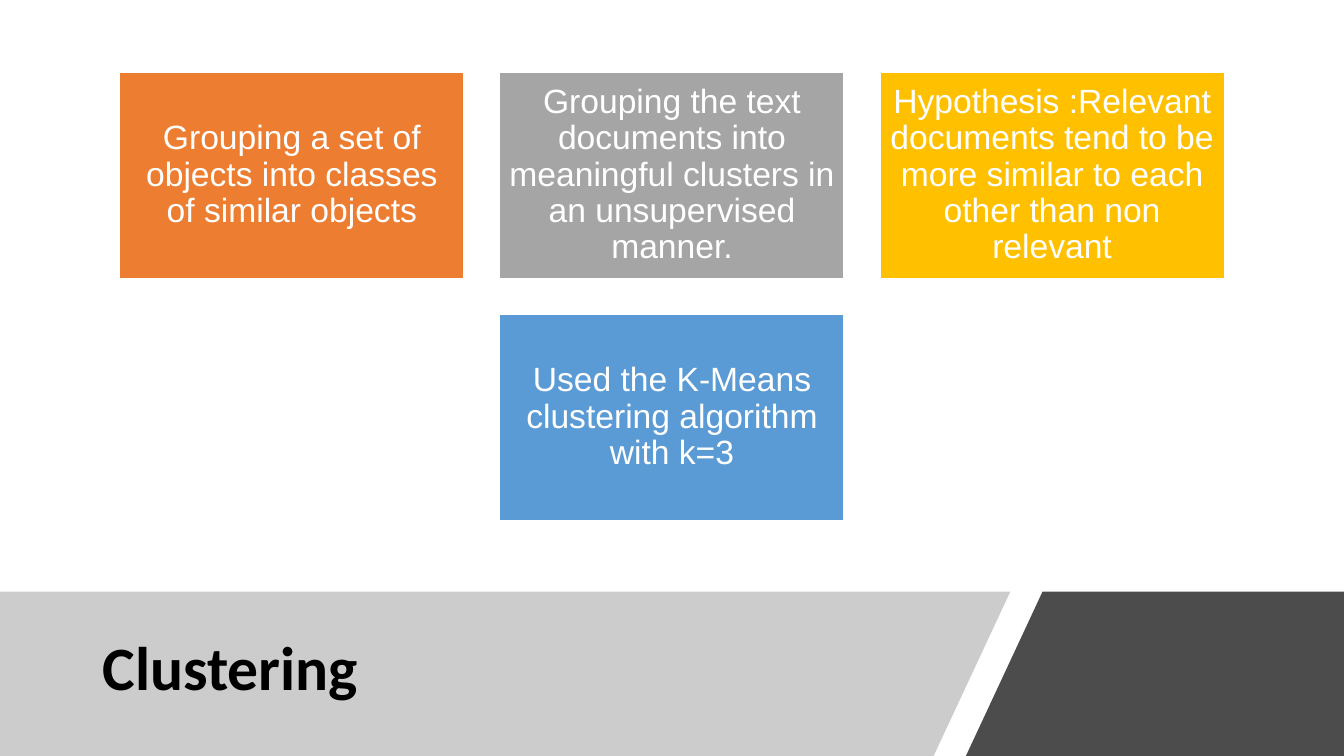
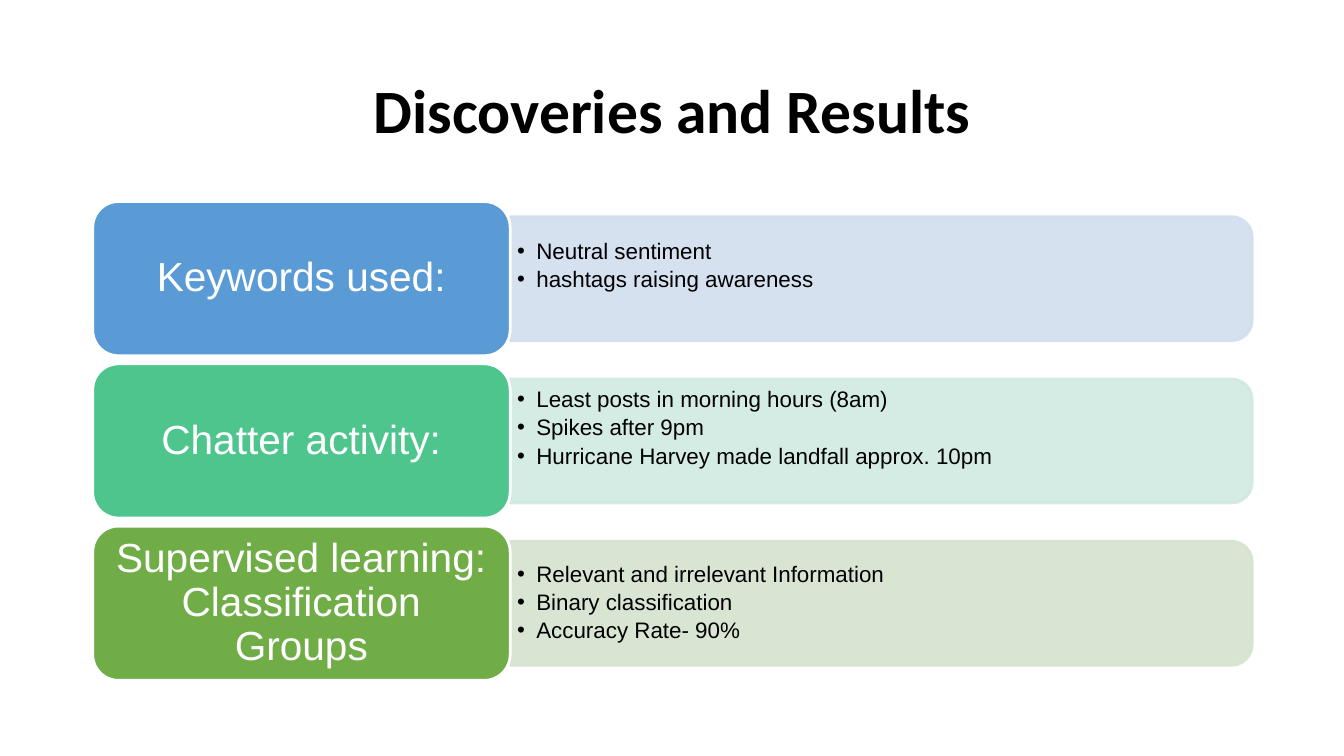
"""Build two slides: clustering tiles, and discoveries with their details."""
from dataclasses import dataclass
from typing import Any, Optional

from lxml.etree import SubElement
from pptx import Presentation
from pptx.dml.color import RGBColor
from pptx.enum.shapes import MSO_SHAPE
from pptx.enum.text import MSO_ANCHOR, PP_ALIGN
from pptx.oxml.ns import qn
from pptx.util import Inches, Pt

SLIDE_WIDTH, SLIDE_HEIGHT = 13.33, 7.5
WHITE, BLACK, GREY = "FFFFFF", "000000", "808080"
BAND_TOP = 5.87
TILE_WIDTH, TILE_HEIGHT, TILE_GAP, TILE_TOP = 3.43, 2.06, 0.34, 0.71
TILES_PER_ROW = 3
LABEL_LEFT, LABEL_TOP, LABEL_WIDTH, LABEL_HEIGHT = 0.92, 2.0, 4.14, 1.53
TOPIC_PITCH = 1.61
PANEL_WIDTH, PANEL_HEIGHT = 7.36, 1.23
DETAIL_WIDTH, DETAIL_HEIGHT = 7.3, 1.11
BULLET_INDENT = 0.19


@dataclass(frozen=True)
class TextStyle:
    """Font, alignment and margins of a text body."""

    size: float
    color: str
    margins: tuple[float, float]
    font: str = "Arial"
    bold: bool = False
    align: PP_ALIGN = PP_ALIGN.CENTER
    space_after: float = 0
    bulleted: bool = False


@dataclass(frozen=True)
class Box:
    """Place and size in inches."""

    left: float
    top: float
    width: float
    height: float

    def lengths(self) -> tuple[int, ...]:
        """Return the four values as lengths."""
        return tuple(Inches(v) for v in (self.left, self.top, self.width, self.height))


@dataclass(frozen=True)
class Tile:
    """A coloured statement."""

    text: str
    color: str


@dataclass(frozen=True)
class Topic:
    """A labelled row with details; lift is extra room below them."""

    label: str
    color: str
    panel_color: str
    details: tuple[str, ...]
    lift: float = 0


TITLE = TextStyle(44, BLACK, (0.1, 0.05), "Calibri", True, PP_ALIGN.LEFT)
CENTERED_TITLE = TextStyle(44, BLACK, (0.1, 0.05), "Calibri", True)
TILE_TEXT = TextStyle(24, WHITE, (0.1, 0.1))
LABEL_TEXT = TextStyle(29, WHITE, (0.12, 0.06))
DETAIL_TEXT = TextStyle(
    16, BLACK, (0.07, 0.03), align=PP_ALIGN.LEFT, space_after=3, bulleted=True
)

TILES = (
    Tile("Grouping a set of objects into classes of similar objects", "ED7D31"),
    Tile(
        "Grouping the text documents into meaningful clusters in an unsupervised manner.",
        "A5A5A5",
    ),
    Tile(
        "Hypothesis :Relevant documents tend to be more similar to each other than non relevant",
        "FFC000",
    ),
    Tile("Used the K-Means clustering algorithm with k=3", "5B9BD5"),
)

TOPICS = (
    Topic(
        "Keywords used:", "5B9BD5", "D2DEEF",
        ("Neutral sentiment", "hashtags raising awareness"), 0.25,
    ),
    Topic(
        "Chatter activity:", "4DC58D", "D0EAE1",
        (
            "Least posts in morning hours (8am)",
            "Spikes after 9pm",
            "Hurricane Harvey made landfall approx. 10pm",
        ),
        0.25,
    ),
    Topic(
        "Supervised learning: Classification Groups", "70AD47", "D5E3CF",
        ("Relevant and irrelevant Information", "Binary classification", "Accuracy Rate- 90%"),
    ),
)


def apply(target: Any, values: dict[str, Any]) -> None:
    """Set every named attribute on the target."""
    for name, value in values.items():
        setattr(target, name, value)


def paint(fill: Any, color: str, opacity: int = 100) -> None:
    """Give a fill a solid colour with an opacity in percent."""
    fill.solid()
    fill.fore_color.rgb = RGBColor.from_string(color)
    if opacity < 100:
        color_element = fill._xPr.find(qn("a:solidFill"))[0]
        SubElement(color_element, qn("a:alpha")).set("val", str(opacity * 1000))


def finish(shape: Any, color: str, outline: Optional[str] = None, opacity: int = 100) -> None:
    """Fill and outline a shape, without a shadow."""
    shape.shadow.inherit = False
    paint(shape.fill, color, opacity)
    if outline is None:
        shape.line.fill.background()
    else:
        shape.line.width = Pt(2)
        paint(shape.line.fill, outline, opacity)


def add_bullet(paragraph: Any) -> None:
    """Hang a round bullet before a paragraph."""
    properties = paragraph._p.get_or_add_pPr()
    properties.set("marL", str(Inches(BULLET_INDENT)))
    properties.set("indent", str(-Inches(BULLET_INDENT)))
    SubElement(properties, qn("a:buFont")).set("typeface", "Arial")
    SubElement(properties, qn("a:buChar")).set("char", "•")


def write(shape: Any, lines: tuple[str, ...], style: TextStyle, lift: float = 0) -> None:
    """Write one paragraph per line into a shape."""
    side, edge = style.margins
    frame = shape.text_frame
    apply(frame, {
        "word_wrap": True,
        "vertical_anchor": MSO_ANCHOR.MIDDLE,
        "margin_left": Inches(side),
        "margin_right": Inches(side),
        "margin_top": Inches(edge),
        "margin_bottom": Inches(edge + lift),
    })
    for index, line in enumerate(lines):
        paragraph = frame.add_paragraph() if index else frame.paragraphs[0]
        apply(paragraph, {
            "alignment": style.align,
            "line_spacing": 0.9,
            "space_after": Pt(style.space_after),
        })
        if style.bulleted:
            add_bullet(paragraph)
        run = paragraph.add_run()
        run.text = line
        apply(run.font, {"name": style.font, "size": Pt(style.size), "bold": style.bold})
        run.font.color.rgb = RGBColor.from_string(style.color)


def add_text(slide: Any, box: Box, lines: tuple[str, ...], style: TextStyle, lift: float = 0) -> None:
    """Add a text box."""
    write(slide.shapes.add_textbox(*box.lengths()), lines, style, lift)


def add_card(slide: Any, kind: MSO_SHAPE, box: Box, color: str, text: str, style: TextStyle) -> None:
    """Add a filled shape with a white outline and its text."""
    card = slide.shapes.add_shape(kind, *box.lengths())
    finish(card, color, WHITE)
    write(card, (text,), style)


def add_band(slide: Any, corners: tuple[tuple[float, float], ...], color: str, opacity: int) -> None:
    """Add a translucent slanted band."""
    points = [(Inches(x), Inches(y)) for x, y in corners]
    builder = slide.shapes.build_freeform(*points[0], scale=1.0)
    builder.add_line_segments(points[1:], close=True)
    finish(builder.convert_to_shape(), color, opacity=opacity)


def add_tiles(slide: Any, tiles: tuple[Tile, ...]) -> None:
    """Lay tiles out in centred rows."""
    for index, tile in enumerate(tiles):
        row, column = divmod(index, TILES_PER_ROW)
        count = min(TILES_PER_ROW, len(tiles) - row * TILES_PER_ROW)
        row_width = count * (TILE_WIDTH + TILE_GAP) - TILE_GAP
        left = (SLIDE_WIDTH - row_width) / 2 + column * (TILE_WIDTH + TILE_GAP)
        top = TILE_TOP + row * (TILE_HEIGHT + TILE_GAP)
        box = Box(left, top, TILE_WIDTH, TILE_HEIGHT)
        add_card(slide, MSO_SHAPE.RECTANGLE, box, tile.color, tile.text, TILE_TEXT)


def add_topic(slide: Any, topic: Topic, top: float) -> None:
    """Add a label and the panel of details beside it."""
    middle = top + LABEL_HEIGHT / 2
    panel_left = LABEL_LEFT + LABEL_WIDTH
    upright = Box(
        panel_left + (PANEL_WIDTH - PANEL_HEIGHT) / 2,
        middle - PANEL_WIDTH / 2,
        PANEL_HEIGHT,
        PANEL_WIDTH,
    )
    panel = slide.shapes.add_shape(MSO_SHAPE.ROUND_2_SAME_RECTANGLE, *upright.lengths())
    panel.rotation = 90
    finish(panel, topic.panel_color, topic.panel_color, 90)
    detail_box = Box(panel_left, middle - DETAIL_HEIGHT / 2, DETAIL_WIDTH, DETAIL_HEIGHT)
    add_text(slide, detail_box, topic.details, DETAIL_TEXT, topic.lift)
    label_box = Box(LABEL_LEFT, top, LABEL_WIDTH, LABEL_HEIGHT)
    add_card(slide, MSO_SHAPE.ROUNDED_RECTANGLE, label_box, topic.color, topic.label, LABEL_TEXT)


def build_clustering(slide: Any) -> None:
    """Build the clustering slide."""
    add_band(
        slide,
        ((0, BAND_TOP), (10.02, BAND_TOP), (9.26, SLIDE_HEIGHT), (0, SLIDE_HEIGHT)),
        GREY, 40,
    )
    add_band(
        slide,
        (
            (10.34, BAND_TOP), (SLIDE_WIDTH, BAND_TOP),
            (SLIDE_WIDTH, SLIDE_HEIGHT), (9.58, SLIDE_HEIGHT),
        ),
        BLACK, 70,
    )
    add_text(slide, Box(0.92, 6.05, 8.44, 1.2), ("Clustering",), TITLE)
    add_tiles(slide, TILES)


def build_results(slide: Any) -> None:
    """Build the results slide."""
    add_text(slide, Box(0.92, 0.4, 11.5, 1.45), ("Discoveries and Results",), CENTERED_TITLE)
    for index, topic in enumerate(TOPICS):
        add_topic(slide, topic, LABEL_TOP + index * TOPIC_PITCH)


def main() -> None:
    """Build and save the presentation."""
    presentation = Presentation()
    apply(presentation, {
        "slide_width": Inches(SLIDE_WIDTH),
        "slide_height": Inches(SLIDE_HEIGHT),
    })
    for build in (build_clustering, build_results):
        build(presentation.slides.add_slide(presentation.slide_layouts[6]))
    presentation.save("out.pptx")


if __name__ == "__main__":
    main()
